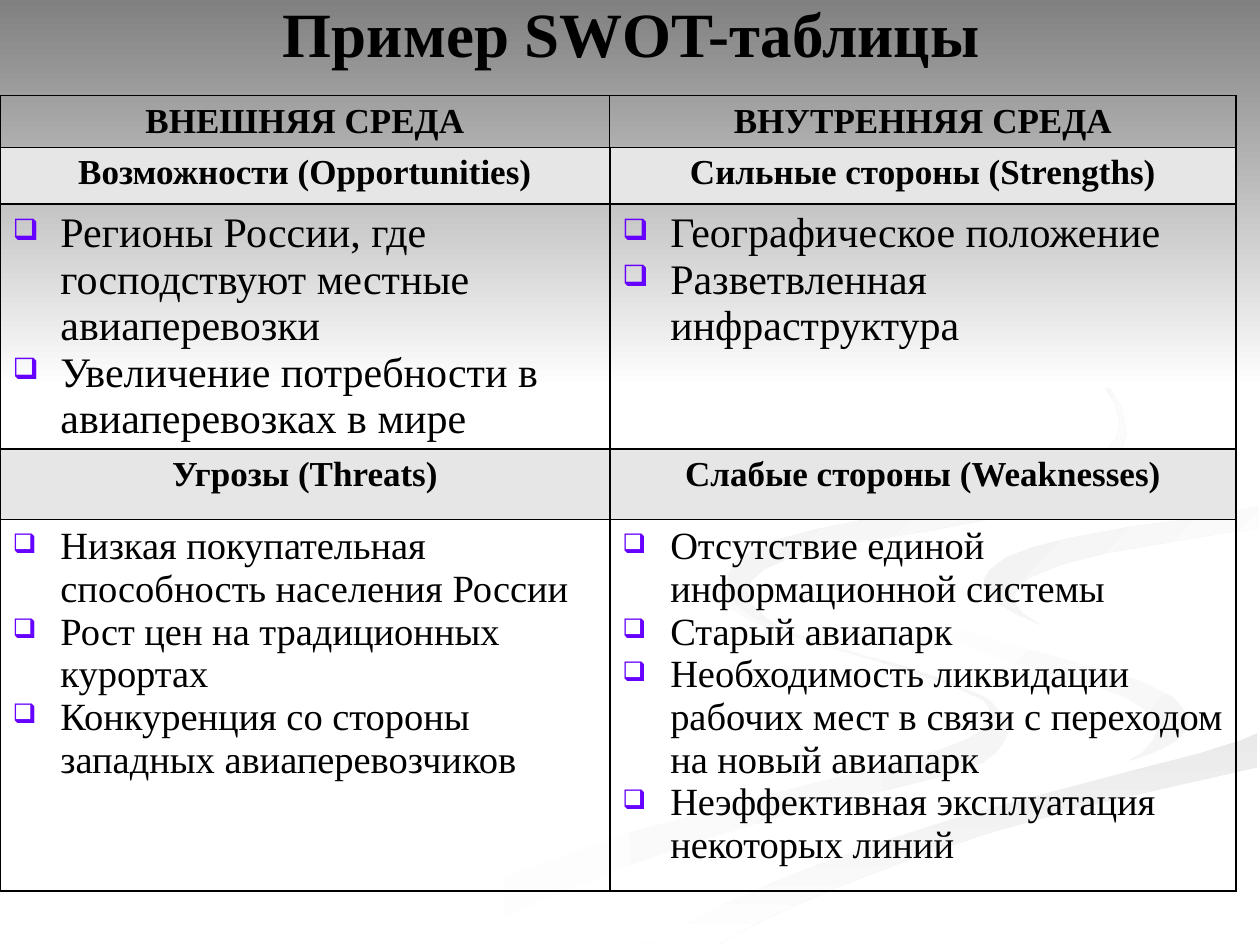
"""Build a slide with a SWOT table over a ribbon background."""
from lxml import etree
from pptx import Presentation
from pptx.dml.color import RGBColor
from pptx.enum.shapes import MSO_SHAPE
from pptx.enum.text import MSO_ANCHOR, MSO_AUTO_SIZE, PP_ALIGN
from pptx.oxml.ns import qn
from pptx.util import Inches, Pt

RECTANGLE = MSO_SHAPE.RECTANGLE
MIDDLE = MSO_ANCHOR.MIDDLE
NO_AUTOFIT = MSO_AUTO_SIZE.NONE
CENTER, LEFT = PP_ALIGN.CENTER, PP_ALIGN.LEFT

BLACK = RGBColor(0x00, 0x00, 0x00)
WHITE = RGBColor(0xFF, 0xFF, 0xFF)
GRAY = RGBColor(0x80, 0x80, 0x80)
BAND = RGBColor(0xE6, 0xE6, 0xE6)
BULLET = RGBColor(0x66, 0x00, 0xFF)
SMOKE = RGBColor(0xF5, 0xF5, 0xF5)
SILVER = RGBColor(0xEA, 0xEA, 0xEA)
PEARL = RGBColor(0xF1, 0xF1, 0xF1)
MIST = RGBColor(0xED, 0xED, 0xED)

LOWER_CURL = [
    (781, 553), (767, 547), (745, 538), (715, 528), (682, 519), (642, 507),
    (614, 496), (594, 485), (583, 477), (576, 469), (574, 464), (575, 459),
    (570, 468), (572, 476), (581, 484), (593, 491), (611, 499), (654, 513),
    (697, 525), (728, 535), (752, 543), (770, 551), (781, 556), (785, 562),
    (785, 570), (780, 579), (767, 587), (749, 594), (727, 602), (699, 609),
    (652, 620), (579, 639), (499, 661), (417, 690), (376, 707), (338, 727),
    (300, 749), (361, 749), (396, 731), (431, 714), (499, 687), (564, 665),
    (623, 647), (676, 634), (721, 623), (756, 614), (780, 605), (791, 597),
    (797, 588), (800, 581), (799, 573), (795, 567), (786, 556)]
UPPER_CURL = [
    (943, 570), (939, 562), (930, 553), (919, 547), (905, 540), (870, 530),
    (830, 519), (792, 509), (758, 498), (733, 483), (727, 474), (724, 464),
    (725, 474), (733, 488), (746, 500), (766, 512), (797, 524), (838, 536),
    (868, 544), (892, 553), (907, 562), (915, 571), (918, 581), (914, 589),
    (907, 597), (894, 605), (916, 597), (932, 589), (941, 581)]
LOWER_RIBBON = [
    (519, 747), (503, 749), (571, 749), (600, 733), (630, 719), (670, 702),
    (722, 682), (785, 661), (861, 640), (949, 620), (998, 609), (998, 581),
    (985, 587), (963, 594), (936, 602), (903, 610), (831, 629), (764, 647),
    (696, 669), (630, 693), (569, 719), (543, 733)]
WIDE_RIBBON = [
    (725, 464), (728, 474), (734, 483), (759, 498), (793, 509), (831, 519),
    (871, 530), (905, 540), (931, 553), (939, 562), (943, 570), (942, 579),
    (936, 587), (926, 593), (911, 600), (892, 605), (843, 618), (780, 634),
    (704, 655), (619, 684), (573, 703), (526, 724), (477, 749), (503, 749),
    (519, 747), (570, 719), (630, 693), (696, 669), (765, 647), (832, 629),
    (904, 610), (951, 598), (986, 587), (999, 581), (999, 538), (974, 534),
    (941, 527), (904, 519), (866, 509), (832, 498), (804, 485), (786, 473),
    (781, 463), (786, 453), (800, 442), (822, 434), (850, 427), (899, 418),
    (968, 409), (999, 402), (999, 387), (962, 395), (920, 401), (830, 415),
    (788, 422), (755, 432), (732, 446), (727, 454)]
RIBBON_EDGE = [
    (781, 460), (782, 469), (791, 478), (806, 487), (826, 496), (812, 487),
    (806, 480), (805, 472), (809, 466), (816, 459), (843, 448), (878, 439),
    (936, 429), (971, 423), (998, 420), (998, 402), (967, 409), (898, 418),
    (849, 427), (821, 434), (799, 442), (785, 453)]
TOP_CURL = [
    (683, 430), (739, 421), (786, 412), (825, 402), (855, 391), (876, 378),
    (889, 362), (894, 344), (890, 324), (880, 307), (864, 291), (843, 275),
    (810, 256), (780, 241), (762, 233), (805, 254), (846, 279), (862, 292),
    (876, 306), (885, 320), (889, 335), (886, 348), (876, 360), (861, 370),
    (842, 378), (818, 386), (763, 398), (704, 409), (649, 420), (615, 429),
    (597, 437), (584, 446), (578, 456), (578, 468), (584, 479), (596, 488),
    (622, 500), (607, 490), (597, 480), (593, 470), (596, 461), (606, 452),
    (624, 444), (649, 436)]
RIBBONS = [
    (LOWER_CURL, WHITE, SMOKE, 0),
    (UPPER_CURL, WHITE, SMOKE, 45),
    (LOWER_RIBBON, SILVER, WHITE, 90),
    (WIDE_RIBBON, WHITE, WHITE, 0),
    (RIBBON_EDGE, PEARL, WHITE, 45),
    (TOP_CURL, MIST, WHITE, 45),
]

HEADING = {"size": Pt(20), "bold": True}
FACTORS = {"size": Pt(24), "bold": False}
SMALL_FACTORS = {"size": Pt(22), "bold": False}
COLUMN_WIDTHS = [4.84, 4.97]
SWOT_ROWS = [
    (0.41, HEADING, None, [["ВНЕШНЯЯ СРЕДА"], ["ВНУТРЕННЯЯ СРЕДА"]]),
    (0.45, HEADING, BAND,
     [["Возможности (Opportunities)"], ["Сильные стороны (Strengths)"]]),
    (1.52, FACTORS, None, [
        ["Регионы России, где господствуют местные авиаперевозки",
         "Увеличение потребности в авиаперевозках в мире"],
        ["Географическое положение", "Разветвленная инфраструктура"]]),
    (0.56, HEADING, BAND,
     [["Угрозы (Threats)"], ["Слабые стороны (Weaknesses)"]]),
    (2.95, SMALL_FACTORS, None, [
        ["Низкая покупательная способность населения России",
         "Рост цен на традиционных курортах",
         "Конкуренция со стороны западных авиаперевозчиков"],
        ["Отсутствие единой информационной системы",
         "Старый авиапарк",
         "Необходимость ликвидации рабочих мест в связи с переходом "
         "на новый авиапарк",
         "Неэффективная эксплуатация некоторых линий"]]),
]


class SwotSlide:
    """Hold the text style and the current slide."""

    def __init__(self, slide):
        self.slide = slide
        self.style = {"name": "Times New Roman"}

    def format_font(self, font, values):
        for name, value in {**self.style, **values}.items():
            setattr(font, name, value)
        font.color.rgb = BLACK

    def shade(self, shape, start, end, angle):
        shape.shadow.inherit = False
        shape.line.fill.background()
        if start == end:
            shape.fill.solid()
            shape.fill.fore_color.rgb = start
            return
        shape.fill.gradient()
        shape.fill.gradient_angle = (360 - angle) % 360
        for stop, color, position in zip(shape.fill.gradient_stops, (start, end), (0, 1)):
            stop.color.rgb = color
            stop.position = position

    def ribbon(self, points, start, end, angle):
        outline = self.slide.shapes.build_freeform(*points[0], scale=Inches(0.01))
        outline.add_line_segments(points[1:], close=True)
        self.shade(outline.convert_to_shape(), start, end, angle)

    def sky(self, width, height):
        backdrop = self.slide.shapes.add_shape(RECTANGLE, 0, 0, width, height)
        self.shade(backdrop, GRAY, WHITE, 90)

    def title(self, text, left, top, width, height):
        heading = self.slide.shapes.title
        place = {"left": left, "top": top, "width": width, "height": height}
        for name, value in place.items():
            setattr(heading, name, value)
        frame = heading.text_frame
        frame.text = text
        layout = {"vertical_anchor": MIDDLE, "word_wrap": True, "auto_size": NO_AUTOFIT}
        for name, value in layout.items():
            setattr(frame, name, value)
        frame.paragraphs[0].alignment = CENTER
        self.format_font(frame.paragraphs[0].runs[0].font, {"size": Pt(36), "bold": True})
        self.slide.shapes.element.append(heading.element)

    def bullet(self, properties):
        color = etree.SubElement(properties, qn("a:buClr"))
        etree.SubElement(color, qn("a:srgbClr"), val=str(BULLET))
        etree.SubElement(properties, qn("a:buSzPct"), val="70000")
        etree.SubElement(properties, qn("a:buChar"), char="❑")

    def borders(self, cell, is_header):
        properties = cell._tc.get_or_add_tcPr()
        for side in "LRTB":
            width = Pt(0.75) if is_header and side != "B" else Pt(1)
            line = etree.SubElement(properties, qn(f"a:ln{side}"), w=str(width))
            fill = etree.SubElement(line, qn("a:solidFill"))
            etree.SubElement(fill, qn("a:srgbClr"), val=str(BLACK))

    def cell(self, cell, lines, values, fill, is_header):
        self.borders(cell, is_header)
        if fill is None:
            cell.fill.background()
        else:
            cell.fill.solid()
            cell.fill.fore_color.rgb = fill
        cell.text = "\n".join(lines)
        for paragraph in cell.text_frame.paragraphs:
            paragraph.alignment = CENTER if values["bold"] else LEFT
            properties = paragraph._p.get_or_add_pPr()
            properties.set("marL", str(Inches(0.38)))
            properties.set("indent", str(-Inches(0.38)))
            if not values["bold"]:
                self.bullet(properties)
            self.format_font(paragraph.runs[0].font, values)

    def table(self, left, top, widths, rows):
        size = Inches(sum(widths)), Inches(sum(row[0] for row in rows))
        swot = self.slide.shapes.add_table(len(rows), len(widths), left, top, *size).table
        swot.first_row = swot.horz_banding = False
        for column, width in zip(swot.columns, widths):
            column.width = Inches(width)
        for index, (height, values, fill, texts) in enumerate(rows):
            swot.rows[index].height = Inches(height)
            for cell, lines in zip(swot.rows[index].cells, texts):
                self.cell(cell, lines, values, fill, index == 0)


def main():
    deck = Presentation()
    deck.slide_width, deck.slide_height = Inches(10), Inches(7.5)
    page = SwotSlide(deck.slides.add_slide(deck.slide_layouts[5]))
    for ribbon in RIBBONS:
        page.ribbon(*ribbon)
    page.sky(Inches(10), Inches(3.08))
    page.title("Пример SWOT-таблицы", Inches(0.51), 0, Inches(9), Inches(0.52))
    page.table(0, Inches(0.76), COLUMN_WIDTHS, SWOT_ROWS)
    deck.save("out.pptx")


if __name__ == "__main__":
    main()
